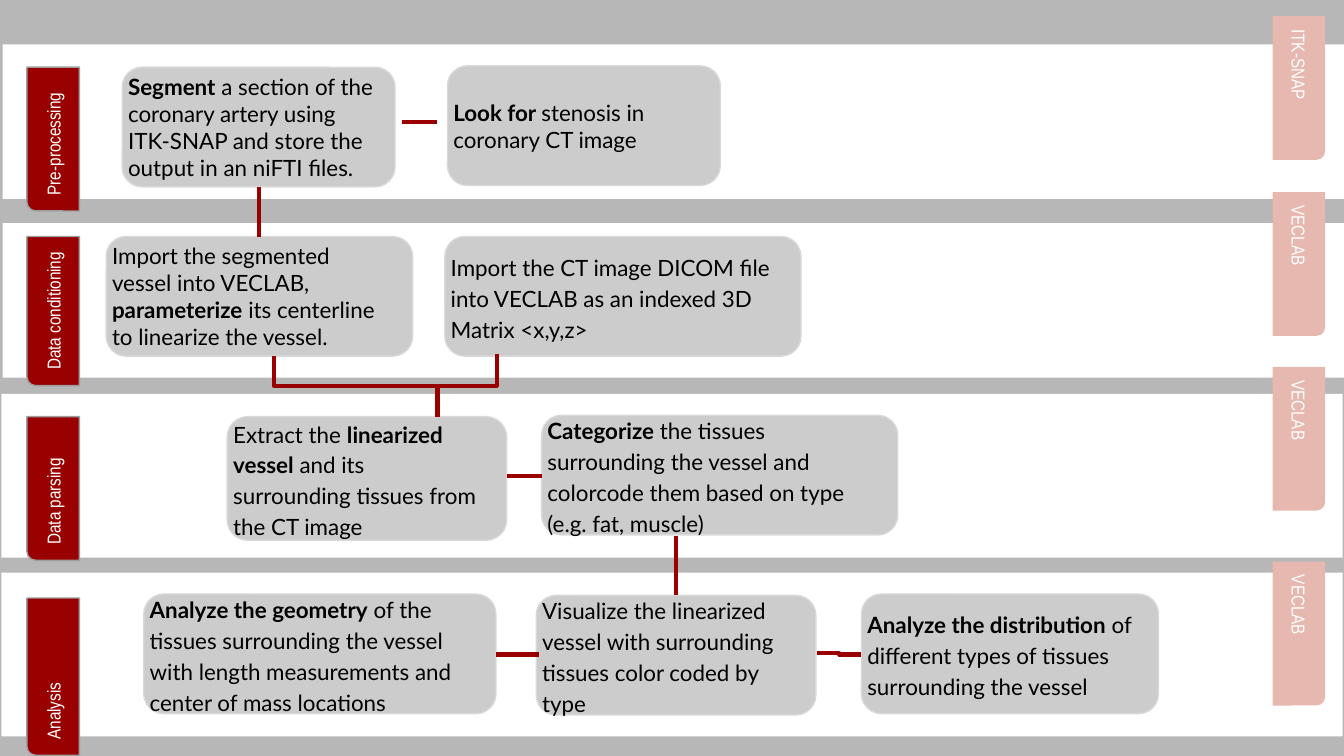
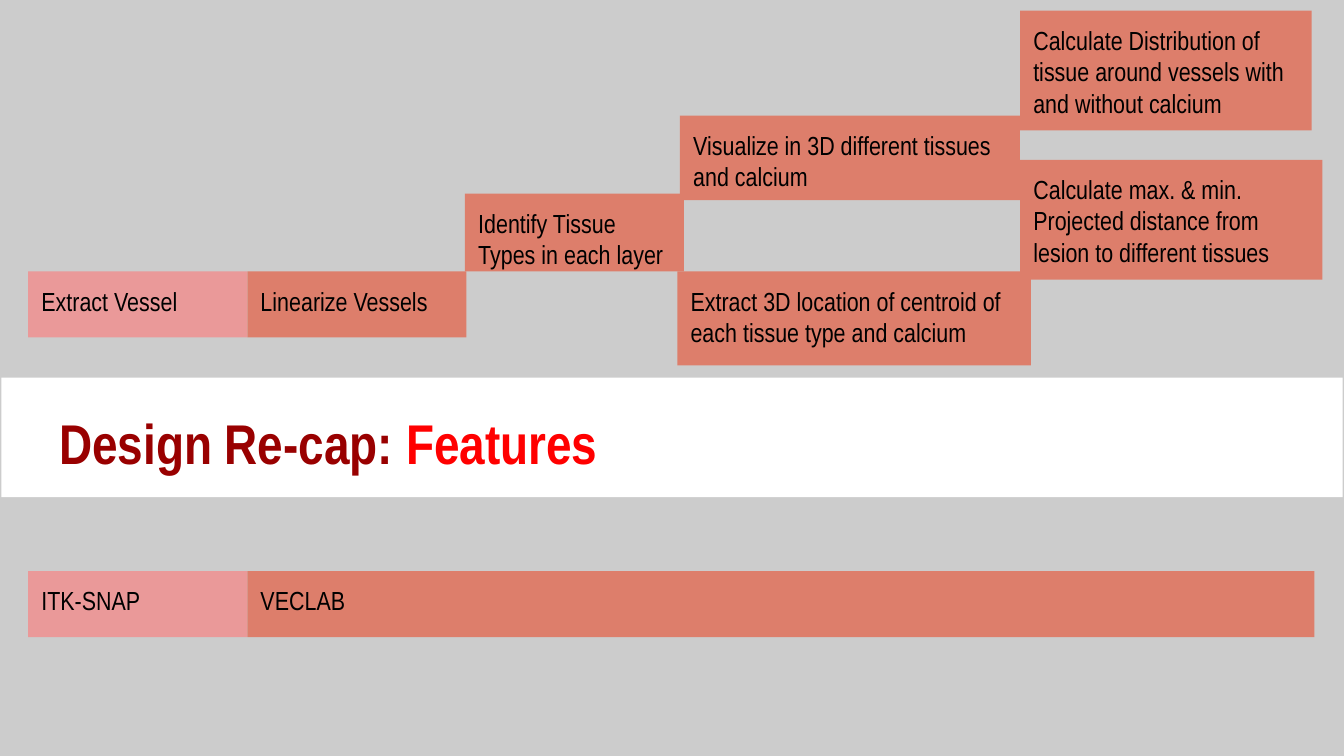
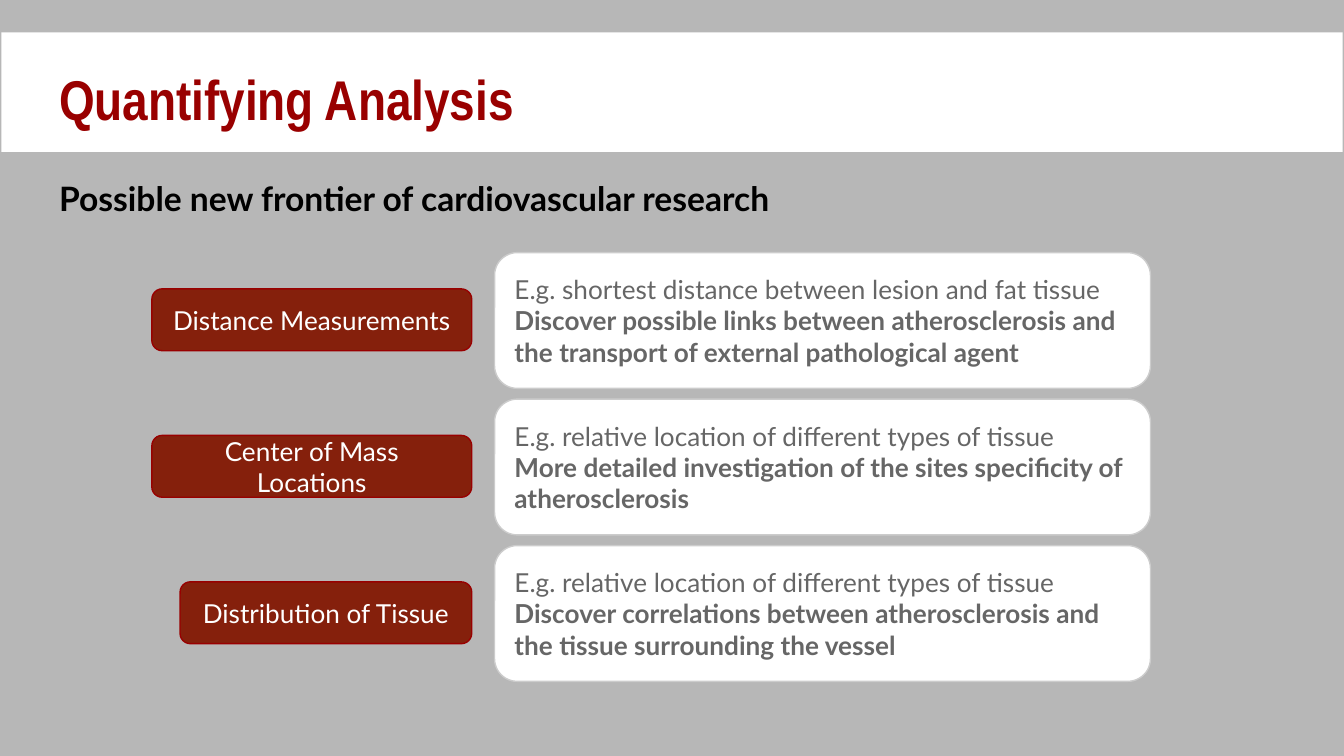
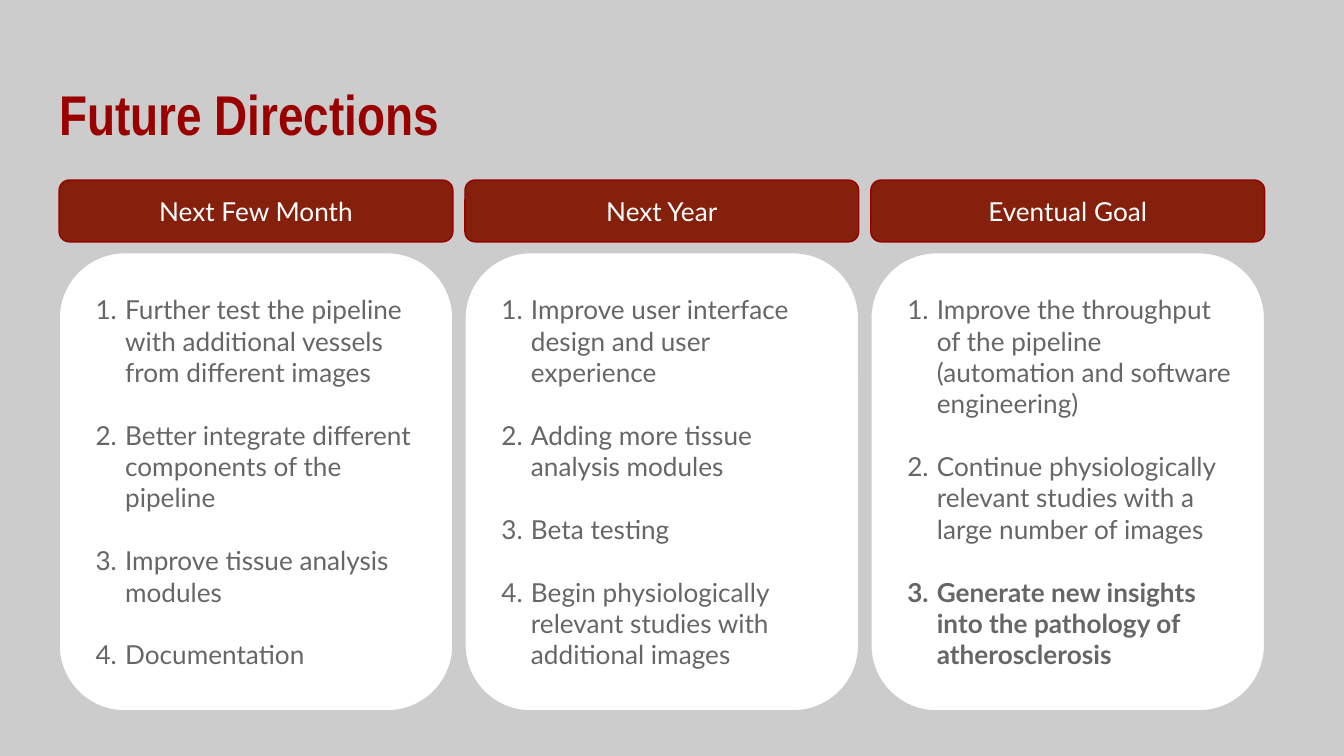
from lxml.etree import SubElement
from pptx import Presentation
from pptx.dml.color import RGBColor
from pptx.enum.shapes import MSO_CONNECTOR, MSO_SHAPE
from pptx.enum.text import MSO_ANCHOR, MSO_AUTO_SIZE, PP_ALIGN
from pptx.oxml.ns import qn
from pptx.util import Pt

SCALE = 9144
COLORS = {
    "gray": "B7B7B7", "silver": "CCCCCC", "white": "FFFFFF", "black": "000000",
    "ink": "666666", "edge": "D9D9D9", "tab_edge": "9E9E9E", "crimson": "990000",
    "red": "FF0000", "brick": "85200C", "brick_edge": "980000", "blush": "E6B8AF",
    "coral": "DD7E6B", "pink": "EA9999",
}
HEAD, BODY = "Arial Narrow", "Lato"
TITLE_ONLY, TITLE_AND_BODY, BLANK = 5, 1, 6


def emu(length):
    """Turn px into EMU."""
    return round(length * SCALE)


def rgb(name):
    """Look up a colour by name."""
    return RGBColor.from_string(COLORS[name])


def write(box, text, size=14, font=BODY, color="black", bold=False, accent=None,
          align=PP_ALIGN.LEFT, anchor=MSO_ANCHOR.MIDDLE, insets=(10, 10, 10, 10),
          spacing=1, gap=0, after=0, numbered=False):
    """Write one paragraph per line; spans between asterisks are stressed."""
    frame = box.text_frame
    frame.word_wrap = True
    frame.auto_size = MSO_AUTO_SIZE.NONE
    frame.vertical_anchor = anchor
    frame.margin_left, frame.margin_top, frame.margin_right, frame.margin_bottom = map(emu, insets)
    for index, line in enumerate(text.split("\n")):
        para = frame.add_paragraph() if index else frame.paragraphs[0]
        properties = para._p.get_or_add_pPr()
        properties.set("marL", str(emu(25 if numbered else 0)))
        properties.set("indent", str(emu(-22 if numbered else 0)))
        if numbered:
            bullet_color = SubElement(properties, qn("a:buClr"))
            SubElement(bullet_color, qn("a:srgbClr"), val=COLORS[color])
            SubElement(properties, qn("a:buAutoNum"), type="arabicPeriod")
        else:
            SubElement(properties, qn("a:buNone"))
        para.alignment = align
        para.line_spacing = spacing
        para.space_before = Pt(gap if index else 0)
        para.space_after = Pt(after)
        for order, part in enumerate(line.split("*")):
            if not part:
                continue
            stressed = order % 2 == 1
            span = para.add_run()
            span.text = part
            span.font.name = font
            span.font.size = Pt(size)
            span.font.bold = bold or stressed
            span.font.color.rgb = rgb(accent if stressed and accent else color)


class Board:
    """Hold the deck, its style and the current page."""

    def __init__(self):
        """Start a wide deck."""
        self.deck = Presentation()
        self.deck.slide_width = emu(1000)
        self.deck.slide_height = self.deck.slide_width * 9 // 16

    def add_page(self, layout, color):
        """Start a page with a plain background."""
        self.page = self.deck.slides.add_slide(self.deck.slide_layouts[layout])
        self.page.background.fill.solid()
        self.page.background.fill.fore_color.rgb = rgb(color)

    def shape(self, kind, left, top, width, height, fill, line=None):
        """Add a filled preset shape."""
        box = self.page.shapes.add_shape(kind, *map(emu, (left, top, width, height)))
        box.shadow.inherit = False
        box.fill.solid()
        box.fill.fore_color.rgb = rgb(fill)
        if line:
            box.line.color.rgb = rgb(line)
            box.line.width = Pt(0.75)
        else:
            box.line.fill.background()
        return box

    def place(self, box, left, top, width, height):
        """Move a placeholder to the front and into position."""
        box.left, box.top, box.width, box.height = map(emu, (left, top, width, height))
        self.page.shapes._spTree.append(box._element)

    def band(self, left, top, width, height):
        """Add a white band across the page."""
        self.shape(MSO_SHAPE.RECTANGLE, left, top, width, height, "white")

    def title(self, text, top):
        """Fill the title placeholder."""
        box = self.page.shapes.title
        self.place(box, 34, top, 932, 63)
        write(box, text, size=30, font=HEAD, color="crimson", bold=True, accent="red",
              anchor=MSO_ANCHOR.TOP)

    def subtitle(self, text, top):
        """Fill the body placeholder with a lead line."""
        box = self.page.placeholders[1]
        self.place(box, 34, top, 932, 46)
        write(box, text, size=18, bold=True, anchor=MSO_ANCHOR.TOP, spacing=1.15, after=16)

    def step(self, text, left, top, width, height=89, spacing=1.15):
        """Add a step of the flow."""
        box = self.shape(MSO_SHAPE.FLOWCHART_ALTERNATE_PROCESS, left, top, width, height,
                         "silver", "edge")
        write(box, text, size=12, insets=(0, 0, 10, 0), spacing=spacing)

    def tab(self, text, left, top, length, fill, line=None, upward=False):
        """Add an upright tab, given its place as seen."""
        thickness = 39
        shift = (length - thickness) / 2
        box = self.shape(MSO_SHAPE.ROUND_1_RECTANGLE, left - shift, top + shift,
                         length, thickness, fill, line)
        box.rotation = 270 if upward else 90
        if upward:
            box._element.spPr.xfrm.set("flipH", "1")
        write(box, text, size=10, font=HEAD, color="white")

    def link(self, start, end, kind=MSO_CONNECTOR.STRAIGHT, turn=0, bend=None):
        """Join two points with a line or an elbow."""
        line = self.page.shapes.add_connector(kind, *map(emu, start + end))
        line.line.color.rgb = rgb("crimson")
        line.line.width = Pt(2.25)
        properties = line._element.spPr
        SubElement(properties, qn("a:effectLst"))
        if turn:
            properties.find(qn("a:xfrm")).set("rot", str(turn * 60000))
        if bend is not None:
            guides = properties.find(qn("a:prstGeom")).find(qn("a:avLst"))
            SubElement(guides, qn("a:gd"), name="adj1", fmla=f"val {bend * 1000}")

    def tile(self, text, left, top, width, height, fill="coral"):
        """Add a flat feature tile."""
        box = self.shape(MSO_SHAPE.RECTANGLE, left, top, width, height, fill)
        write(box, text, font=HEAD, anchor=MSO_ANCHOR.TOP, after=16)

    def label(self, text, left, top, width):
        """Add a dark rounded label."""
        box = self.shape(MSO_SHAPE.ROUNDED_RECTANGLE, left, top, width, 46, "brick", "brick_edge")
        write(box, text, color="white", align=PP_ALIGN.CENTER)

    def card(self, text, left, top, width, height, **style):
        """Add a white rounded card."""
        box = self.shape(MSO_SHAPE.ROUNDED_RECTANGLE, left, top, width, height, "white", "silver")
        write(box, text, color="ink", **style)


def pipeline(board):
    """Draw the processing pipeline."""
    board.add_page(BLANK, "gray")
    for left, top, height in ((2, 33, 115), (2, 166, 115), (1, 293, 122), (1, 426, 122)):
        board.band(left, top, 998, height)
    board.step("Import the CT image DICOM file into VECLAB as an indexed 3D Matrix <x,y,z>",
               331, 176, 265)
    board.step("Import the segmented vessel into VECLAB, *parameterize* its centerline "
               "to linearize the vessel.", 79, 176, 228, spacing=1)
    board.step("*Categorize* the tissues surrounding the vessel and colorcode them based on type "
               "(e.g. fat, muscle)", 403, 309, 265)
    board.step("Visualize the linearized vessel with surrounding tissues color coded by type",
               399, 443, 208)
    board.step("Extract the *linearized vessel* and its surrounding tissues from the CT image",
               169, 310, 208, height=92)
    board.step("*Analyze the geometry* of the tissues surrounding the vessel with length "
               "measurements and center of mass locations", 107, 442, 262)
    board.step("*Analyze the distribution* of different types of tissues surrounding the vessel",
               641, 442, 221)
    for text, top, length in (("Pre-processing", 50, 107), ("Data conditioning", 176, 111),
                              ("Data parsing", 310, 107), ("Analysis", 445, 117)):
        board.tab(text, 20, top, length, "crimson", "tab_edge", upward=True)
    for text, top in (("ITK-SNAP", 12), ("VECLAB", 143), ("VECLAB", 273), ("VECLAB", 418)):
        board.tab(text, 947, top, 107, "blush")
    board.link((324, 265), (371, 309), MSO_CONNECTOR.ELBOW, turn=90)
    board.link((204, 265), (334, 287), MSO_CONNECTOR.ELBOW, bend=0)
    board.step("*Segment* a section of the coronary artery using ITK-SNAP and store the output "
               "in an niFTI files.", 91, 50, 203, spacing=1)
    board.link((377, 354), (403, 354))
    board.link((193, 139), (193, 176))
    board.link((503, 399), (503, 443))
    board.link((608, 486), (641, 487), MSO_CONNECTOR.ELBOW)
    board.link((369, 487), (401, 487))
    board.step("*Look for *stenosis in coronary CT image", 333, 49, 203, spacing=1)
    board.link((325, 91), (299, 91))


def features(board):
    """Draw the feature recap."""
    board.add_page(TITLE_ONLY, "silver")
    board.band(1, 281, 998, 89)
    board.title("Design Re-cap: *Features*", 294)
    board.tile("Linearize Vessels", 184, 202, 163, 49)
    board.tile("Identify Tissue Types in each layer", 346, 144, 163, 58)
    board.tile("Visualize in 3D different tissues and calcium", 506, 86, 253, 63)
    board.tile("Extract 3D location of centroid of each tissue type and calcium",
               504, 202, 263, 70)
    board.tile("Extract Vessel", 21, 202, 163, 49, "pink")
    board.tile("ITK-SNAP", 21, 425, 163, 49, "pink")
    board.tile("VECLAB", 184, 425, 794, 49)
    board.tile("Calculate Distribution of tissue around vessels with and without calcium",
               759, 8, 217, 89)
    board.tile("Calculate max. & min. Projected distance from lesion to different tissues",
               759, 119, 225, 89)


def quantifying(board):
    """Draw the measures and what each may reveal."""
    board.add_page(TITLE_AND_BODY, "gray")
    board.band(1, 24, 998, 89)
    board.title("Quantifying Analysis", 38)
    board.subtitle("Possible new frontier of cardiovascular research", 118)
    measures = (
        ("Distance Measurements", 238,
         "E.g. shortest distance between lesion and fat tissue\n*Discover possible links between "
         "atherosclerosis and the transport of external pathological agent*"),
        ("Center of Mass Locations", 238,
         "E.g. relative location of different types of tissue\n*More detailed investigation of "
         "the sites specificity of atherosclerosis*"),
        ("Distribution of Tissue", 217,
         "E.g. relative location of different types of tissue\n*Discover correlations between "
         "atherosclerosis and the tissue surrounding the vessel*"),
    )
    for row, (name, width, detail) in enumerate(measures):
        board.label(name, 351 - width, 215 + 109 * row, width)
        board.card(detail, 368, 188 + 109 * row, 488, 101)


def directions(board):
    """Draw the plans by time span."""
    board.add_page(TITLE_ONLY, "silver")
    board.title("Future Directions", 49)
    plans = (
        ("Next Few Month",
         "Further test the pipeline with additional vessels from different images\n"
         "Better integrate different components of the pipeline\n"
         "Improve tissue analysis modules\nDocumentation"),
        ("Next Year",
         "Improve user interface design and user experience\n"
         "Adding more tissue analysis modules\nBeta testing\n"
         "Begin physiologically relevant studies with additional images"),
        ("Eventual Goal",
         "Improve the throughput of the pipeline (automation and software engineering)\n"
         "Continue physiologically relevant studies with a large number of images\n"
         "*Generate new insights into the pathology of atherosclerosis*"),
    )
    for column, (period, goals) in enumerate(plans):
        left = 44 + 302 * column
        board.label(period, left, 134, 293)
        board.card(goals, left, 188, 293, 341, numbered=True, gap=16.8)


def main():
    """Build the deck and save it."""
    board = Board()
    for draw in (pipeline, features, quantifying, directions):
        draw(board)
    board.deck.save("out.pptx")


if __name__ == "__main__":
    main()
